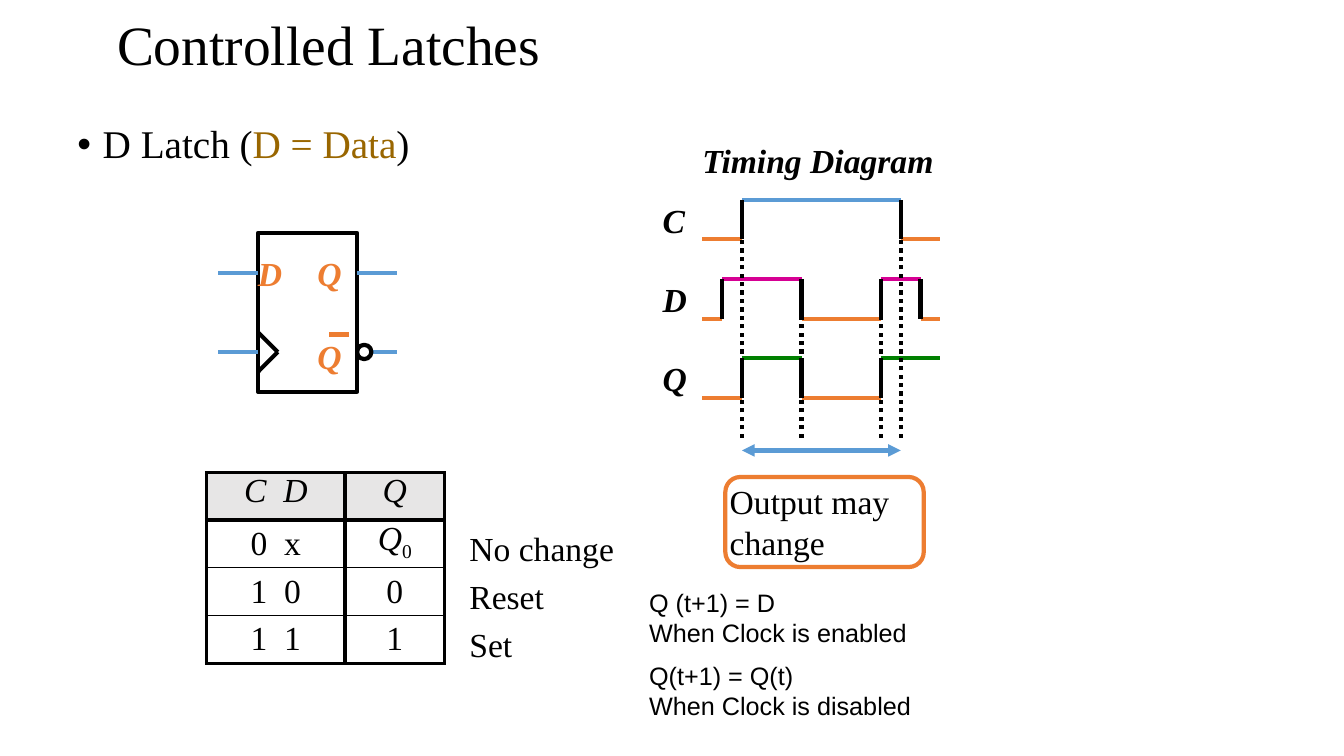
from lxml import etree
from pptx import Presentation
from pptx import util as u
from pptx.dml.color import RGBColor
from pptx.enum import dml, shapes, text
from pptx.oxml import ns

BLACK, WHITE, GREY = "000000", "FFFFFF", "E7E6E6"
ORANGE, BLUE, PINK, GREEN, BROWN = "ED7D31", "5B9BD5", "D60093", "008000", "996600"
SERIF = "Times New Roman"

TITLE = ["Controlled Latches"]
HEADING = [["D Latch (", ("D = Data", {"color": BROWN}), ")"]]
EFFECTS = ["No change", "Reset", "Set"]
EQUATIONS = [("Q (t+1) = D", "When Clock is enabled"),
             ("Q(t+1) = Q(t)", "When Clock is disabled")]

WIDE_SPACE = (" ", {"tracking": 6})
TRUTH_TABLE = [
    (["C", WIDE_SPACE, "D"], ["Q"]),
    (["0", WIDE_SPACE, "x"], [("Q", {"italic": True}), ("0", {"baseline": -25})]),
    (["1", WIDE_SPACE, "0"], ["0"]),
    (["1", WIDE_SPACE, "1"], ["1"]),
]
TABLE_LEFT, TABLE_TOP, ROW_HEIGHT = 5.2, 11.91, 1.2
COLUMN_WIDTHS = [3.5, 2.5]
COLUMN_RULES = [2.25, 3, 2.25]
ROW_RULES = [2.25, 3, 1, 1, 2.25]

SIGNALS = [("C", BLUE, [18.7, 22.7]),
           ("D", PINK, [18.2, 20.2, 22.2, 23.2]),
           ("Q", GREEN, [18.7, 20.2, 22.2])]
SIGNAL_START, SIGNAL_END, SIGNAL_TOP = 17.7, 23.7, 5.03
SWING, SIGNAL_STEP = 1, 2
GUIDES = [(18.7, 0), (20.2, 1), (22.2, 1), (22.7, 0)]
GUIDE_END, ARROW_Y = 11.03, 11.35

LATCH_LEFT, LATCH_TOP, LATCH_WIDTH, LATCH_HEIGHT = 6.5, 5.87, 2.5, 4
PIN_LENGTH, BUBBLE = 1, 0.36

presentation = Presentation()
presentation.slide_width, presentation.slide_height = u.Cm(33.87), u.Cm(19.05)
slide = presentation.slides.add_slide(presentation.slide_layouts[6])


def rgb(color):
    return RGBColor.from_string(color)


def add_element(parent, tag, **attributes):
    return etree.SubElement(parent, ns.qn(tag), attributes)


def write(frame, paragraphs, size=24, font=SERIF, color=BLACK, bold=False, italic=False,
          align=text.PP_ALIGN.LEFT, line_spacing=None, bullet=None,
          anchor=text.MSO_ANCHOR.TOP, wrap=True, margins=(0, 0)):
    frame.word_wrap = wrap
    frame.vertical_anchor = anchor
    frame.margin_left = frame.margin_right = u.Cm(margins[0])
    frame.margin_top = frame.margin_bottom = u.Cm(margins[1])
    for index, runs in enumerate(paragraphs):
        paragraph = frame.add_paragraph() if index else frame.paragraphs[0]
        if bullet:
            properties = paragraph._p.get_or_add_pPr()
            properties.set("marL", str(u.Cm(0.64)))
            properties.set("indent", str(-u.Cm(0.64)))
            add_element(properties, "a:buFont", typeface="Arial")
            add_element(properties, "a:buChar", char=bullet)
        paragraph.alignment = align
        if line_spacing:
            paragraph.line_spacing = line_spacing
        for item in [runs] if isinstance(runs, str) else runs:
            words, changes = (item, {}) if isinstance(item, str) else item
            run = paragraph.add_run()
            run.text = words
            run.font.name, run.font.size = font, u.Pt(size)
            run.font.bold = bold
            run.font.italic = changes.get("italic", italic)
            run.font.color.rgb = rgb(changes.get("color", color))
            if "baseline" in changes:
                run.font._element.set("baseline", str(changes["baseline"] * 1000))
            if "tracking" in changes:
                run.font._element.set("spc", str(changes["tracking"] * 100))


def add_text(left, top, width, height, paragraphs, **formats):
    box = slide.shapes.add_textbox(*map(u.Cm, (left, top, width, height)))
    write(box.text_frame, paragraphs, **formats)
    return box


def add_line(x1, y1, x2, y2, color=BLACK, dotted=False, arrows=False):
    line = slide.shapes.add_connector(
        shapes.MSO_CONNECTOR.STRAIGHT, *map(u.Cm, (x1, y1, x2, y2)))
    line.line.color.rgb, line.line.width = rgb(color), u.Pt(3)
    if dotted:
        line.line.dash_style = dml.MSO_LINE.ROUND_DOT
    if arrows:
        for end in ("a:headEnd", "a:tailEnd"):
            add_element(line.line._get_or_add_ln(), end, type="triangle")
    add_element(line._element.spPr, "a:effectLst")


def add_outline(kind, left, top, width, height, color=BLACK, fill=None):
    shape = slide.shapes.add_shape(kind, *map(u.Cm, (left, top, width, height)))
    shape.shadow.inherit = False
    shape.line.color.rgb, shape.line.width = rgb(color), u.Pt(3)
    if fill:
        shape.fill.solid()
        shape.fill.fore_color.rgb = rgb(fill)
    else:
        shape.fill.background()
    return shape


def add_border(cell, side, width):
    border = add_element(cell._tc.get_or_add_tcPr(), f"a:{side}", w=str(u.Pt(width)))
    add_element(add_element(border, "a:solidFill"), "a:srgbClr", val=BLACK)


def add_truth_table():
    count = len(TRUTH_TABLE)
    table = slide.shapes.add_table(
        count, len(COLUMN_WIDTHS), u.Cm(TABLE_LEFT), u.Cm(TABLE_TOP),
        u.Cm(sum(COLUMN_WIDTHS)), u.Cm(ROW_HEIGHT * count)).table
    table.first_row = table.horz_banding = False
    for column, width in zip(table.columns, COLUMN_WIDTHS):
        column.width = u.Cm(width)
    for r, values in enumerate(TRUTH_TABLE):
        table.rows[r].height = u.Cm(ROW_HEIGHT)
        for c, runs in enumerate(values):
            cell = table.cell(r, c)
            add_border(cell, "lnL", COLUMN_RULES[c])
            add_border(cell, "lnR", COLUMN_RULES[c + 1])
            add_border(cell, "lnT", ROW_RULES[r])
            add_border(cell, "lnB", ROW_RULES[r + 1])
            if r == 0:
                cell.fill.solid()
                cell.fill.fore_color.rgb = rgb(GREY)
            else:
                cell.fill.background()
            write(cell.text_frame, [runs], italic=r == 0, align=text.PP_ALIGN.CENTER)
            cell.margin_left = cell.margin_right = cell.margin_top = cell.margin_bottom = 0
            at_top = r == 0 or (r, c) == (1, 1)
            cell.vertical_anchor = text.MSO_ANCHOR.TOP if at_top else text.MSO_ANCHOR.MIDDLE


def add_timing_diagram():
    add_text(17.7, 3.53, 6.5, 0.93, ["Timing Diagram"], bold=True, italic=True)
    for row, (name, high_color, edges) in enumerate(SIGNALS):
        high = SIGNAL_TOP + row * SIGNAL_STEP
        low = high + SWING
        add_text(16.7, high, 0.62, 0.93, [name], bold=True, italic=True, wrap=False)
        stops = [SIGNAL_START, *edges, SIGNAL_END]
        for index, (x1, x2) in enumerate(zip(stops, stops[1:])):
            level, color = (high, high_color) if index % 2 else (low, ORANGE)
            add_line(x1, level, x2, level, color)
        for x in edges:
            add_line(x, low, x, high)
    for x, row in GUIDES:
        add_line(x, GUIDE_END, x, SIGNAL_TOP + SWING + row * SIGNAL_STEP, dotted=True)
    add_line(GUIDES[0][0], ARROW_Y, GUIDES[-1][0], ARROW_Y, BLUE, arrows=True)
    note = add_outline(shapes.MSO_SHAPE.ROUNDED_RECTANGLE, 18.28, 12.02, 5, 2.27, ORANGE)
    write(note.text_frame, ["Output may change"])


def add_latch():
    right = LATCH_LEFT + LATCH_WIDTH
    upper, lower = LATCH_TOP + 1, LATCH_TOP + 3
    add_outline(shapes.MSO_SHAPE.RECTANGLE, LATCH_LEFT, LATCH_TOP,
                LATCH_WIDTH, LATCH_HEIGHT, fill=WHITE)
    for offset in (-0.5, 0.5):
        add_line(LATCH_LEFT, lower + offset, LATCH_LEFT + 0.5, lower)
    for y in (upper, lower):
        add_line(LATCH_LEFT - PIN_LENGTH, y, LATCH_LEFT, y, BLUE)
        add_line(right, y, right + PIN_LENGTH, y, BLUE)
    add_outline(shapes.MSO_SHAPE.OVAL, right, lower - BUBBLE / 2, BUBBLE, BUBBLE, fill=WHITE)
    for name, x, y in (("D", LATCH_LEFT, 6.37), ("Q", right - 1, 6.37), ("Q", right - 1, 8.47)):
        add_text(x, y, 1, 0.93, [name], color=ORANGE, bold=True, italic=True)
    add_line(right - 0.7, 8.43, right - 0.2, 8.43, ORANGE)


add_text(2.7, 0.53, 22, 1.32, TITLE, size=39.6, line_spacing=0.9,
         anchor=text.MSO_ANCHOR.MIDDLE, margins=(0.25, 0.13))
add_text(1.7, 3.02, 23, 1.32, HEADING, size=28, line_spacing=0.9, bullet="•",
         margins=(0.25, 0.13))
add_truth_table()
add_text(11.83, 13.09, 4.5, 3.67, EFFECTS, line_spacing=1.2)
add_timing_diagram()
add_latch()
equations = add_text(16.36, 14.76, 10.29, 3.43, [line for pair in EQUATIONS for line in pair],
                     size=18, font="Arial", anchor=text.MSO_ANCHOR.MIDDLE)
equations.text_frame.paragraphs[2].space_before = u.Pt(9.2)

presentation.save("out.pptx")
